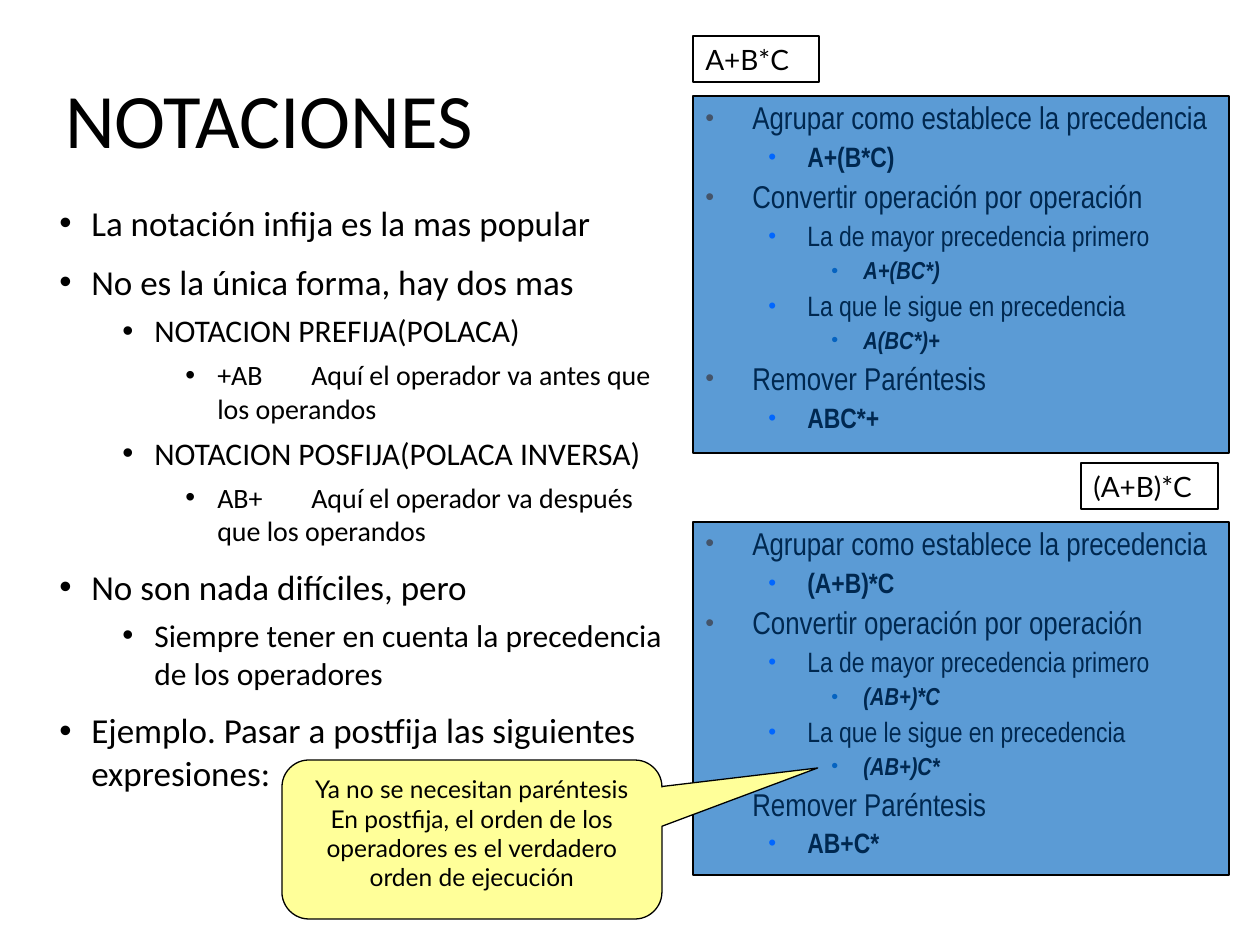
"""Builds the slide on prefix and postfix notations."""
import dataclasses
import typing

import lxml.etree
import pptx
import pptx.dml.color
import pptx.enum.shapes
import pptx.enum.text
import pptx.oxml.ns
import pptx.util

SCALE = 914400 / 126
BLACK = "000000"
RECT = pptx.enum.shapes.MSO_SHAPE.RECTANGLE
CALLOUT = pptx.enum.shapes.MSO_SHAPE.ROUNDED_RECTANGULAR_CALLOUT
TOP = pptx.enum.text.MSO_ANCHOR.TOP
MIDDLE = pptx.enum.text.MSO_ANCHOR.MIDDLE
LEFT = pptx.enum.text.PP_ALIGN.LEFT
CENTER = pptx.enum.text.PP_ALIGN.CENTER


@dataclasses.dataclass(frozen=True)
class Style:
    size: int
    font: str
    color: str = BLACK
    before: float = 0
    spacing: float = 1.0
    align: typing.Any = LEFT
    indent: int = 0
    hang: int = 0
    bullet: str = ""
    bullet_pct: int = 100
    tab: int = 0


@dataclasses.dataclass(frozen=True)
class Line:
    text: str
    level: int = 0
    bold: bool = False
    italic: bool = False


@dataclasses.dataclass(frozen=True)
class Box:
    x: int
    y: int
    w: int
    h: int
    fill: str = ""
    kind: typing.Any = RECT
    anchor: typing.Any = TOP


TITLE = [Style(44, "Calibri", spacing=0.9)]
BODY = [
    Style(20, "Calibri", before=10, indent=32, hang=32, bullet=BLACK),
    Style(18, "Calibri", before=5, indent=95, hang=32, bullet=BLACK),
    Style(16, "Calibri", before=5, indent=158, hang=32, bullet=BLACK, tab=252),
]
STEPS = [
    Style(18, "Arial Narrow", "002850", 4.5, 0.9, LEFT, 47, 47, "44546A", 80),
    Style(16, "Arial Narrow", "002850", 4, 0.9, LEFT, 102, 39, "0066FF", 80),
    Style(14, "Arial Narrow", "002850", 3.5, 0.9, LEFT, 158, 32, "0563C1", 80),
]
NOTE = [Style(14, "Lato", align=CENTER)]
LABEL = [Style(16, "Lato", before=10)]

BODY_LINES = [
    Line("La notación infija es la mas popular"),
    Line("No es la única forma, hay dos mas"),
    Line("NOTACION PREFIJA(POLACA)", 1),
    Line("+AB\tAquí el operador va antes que los operandos", 2),
    Line("NOTACION POSFIJA(POLACA INVERSA)", 1),
    Line("AB+\tAquí el operador va después que los operandos", 2),
    Line("No son nada difíciles, pero"),
    Line("Siempre tener en cuenta la precedencia de los operadores", 1),
    Line("Ejemplo. Pasar a postfija las siguientes expresiones:"),
]
NOTE_LINES = [
    Line("Ya no se necesitan paréntesis"),
    Line("En postfija, el orden de los operadores es el verdadero orden de ejecución"),
]


def px(n: float) -> int:
    """Turn pixels into EMU."""
    return round(n * SCALE)


def rgb(value: str) -> pptx.dml.color.RGBColor:
    """Turn a hex string into a colour."""
    return pptx.dml.color.RGBColor.from_string(value)


def assign(obj: typing.Any, values: dict[str, typing.Any]) -> None:
    """Set each attribute named in values."""
    for name, value in values.items():
        setattr(obj, name, value)


def add_node(parent: typing.Any, tag: str, **attrs: str) -> typing.Any:
    """Append a DrawingML element."""
    return lxml.etree.SubElement(parent, pptx.oxml.ns.qn(tag), attrs)


def format_paragraph(p: typing.Any, st: Style) -> None:
    """Apply spacing, indent, bullet and tab stop."""
    assign(p, {"alignment": st.align, "line_spacing": st.spacing,
               "space_before": pptx.util.Pt(st.before)})
    pr = p._p.get_or_add_pPr()
    pr.set("marL", str(px(st.indent)))
    pr.set("indent", str(-px(st.hang)))
    if st.bullet:
        add_node(add_node(pr, "a:buClr"), "a:srgbClr", val=st.bullet)
        add_node(pr, "a:buSzPct", val=str(st.bullet_pct * 1000))
        add_node(pr, "a:buFont", typeface="Arial")
        add_node(pr, "a:buChar", char="•")
    if st.tab:
        add_node(add_node(pr, "a:tabLst"), "a:tab", pos=str(px(st.tab)), algn="l")


def write(sp: typing.Any, lines: list[Line], styles: list[Style], anchor: typing.Any) -> None:
    """Fill a shape with styled lines."""
    tf = sp.text_frame
    assign(tf, {"word_wrap": True, "vertical_anchor": anchor})
    for i, line in enumerate(lines):
        p = tf.add_paragraph() if i else tf.paragraphs[0]
        st = styles[line.level]
        p.level = line.level
        format_paragraph(p, st)
        r = p.add_run()
        r.text = line.text
        assign(r.font, {"size": pptx.util.Pt(st.size), "name": st.font,
                        "bold": line.bold, "italic": line.italic})
        r.font.color.rgb = rgb(st.color)


def draw(s: typing.Any, box: Box, lines: list[Line], styles: list[Style]) -> typing.Any:
    """Draw a text box, or a filled shape when the box has a fill."""
    place = [px(n) for n in (box.x, box.y, box.w, box.h)]
    if box.fill:
        sp = s.shapes.add_shape(box.kind, *place)
        sp.shadow.inherit = False
        sp.fill.solid()
        sp.fill.fore_color.rgb = rgb(box.fill)
        sp.line.color.rgb = rgb(BLACK)
        sp.line.width = pptx.util.Pt(0.75)
    else:
        sp = s.shapes.add_textbox(*place)
    write(sp, lines, styles, box.anchor)
    return sp


def step_lines(grouped: str, first: str, second: str, result: str) -> list[Line]:
    """List the conversion steps of one expression."""
    return [
        Line("Agrupar como establece la precedencia"),
        Line(grouped, 1, bold=True),
        Line("Convertir operación por operación"),
        Line("La de mayor precedencia primero", 1),
        Line(first, 2, bold=True, italic=True),
        Line("La que le sigue en precedencia", 1),
        Line(second, 2, bold=True, italic=True),
        Line("Remover Paréntesis"),
        Line(result, 1, bold=True),
    ]


def main() -> None:
    """Build and save the slide."""
    prs = pptx.Presentation()
    assign(prs, {"slide_width": px(1260), "slide_height": px(945)})
    s = prs.slides.add_slide(prs.slide_layouts[6])
    draw(s, Box(53, 45, 1134, 158, anchor=MIDDLE), [Line("NOTACIONES")], TITLE)
    draw(s, Box(47, 195, 640, 626), BODY_LINES, BODY)
    draw(s, Box(693, 522, 536, 353, "5B9BD5"),
         step_lines("(A+B)*C", "(AB+)*C", "(AB+)C*", "AB+C*"), STEPS)
    note = draw(s, Box(282, 760, 380, 159, "FFFF99", CALLOUT), NOTE_LINES, NOTE)
    for i, value in enumerate((0.91, -0.45, 0.17)):
        note.adjustments[i] = value
    draw(s, Box(693, 36, 126, 46, "FFFFFF"), [Line("A+B*C")], LABEL)
    draw(s, Box(1081, 463, 137, 46, "FFFFFF"), [Line("(A+B)*C")], LABEL)
    draw(s, Box(693, 96, 536, 357, "5B9BD5"),
         step_lines("A+(B*C)", "A+(BC*)", "A(BC*)+", "ABC*+"), STEPS)
    prs.save("out.pptx")


if __name__ == "__main__":
    main()
